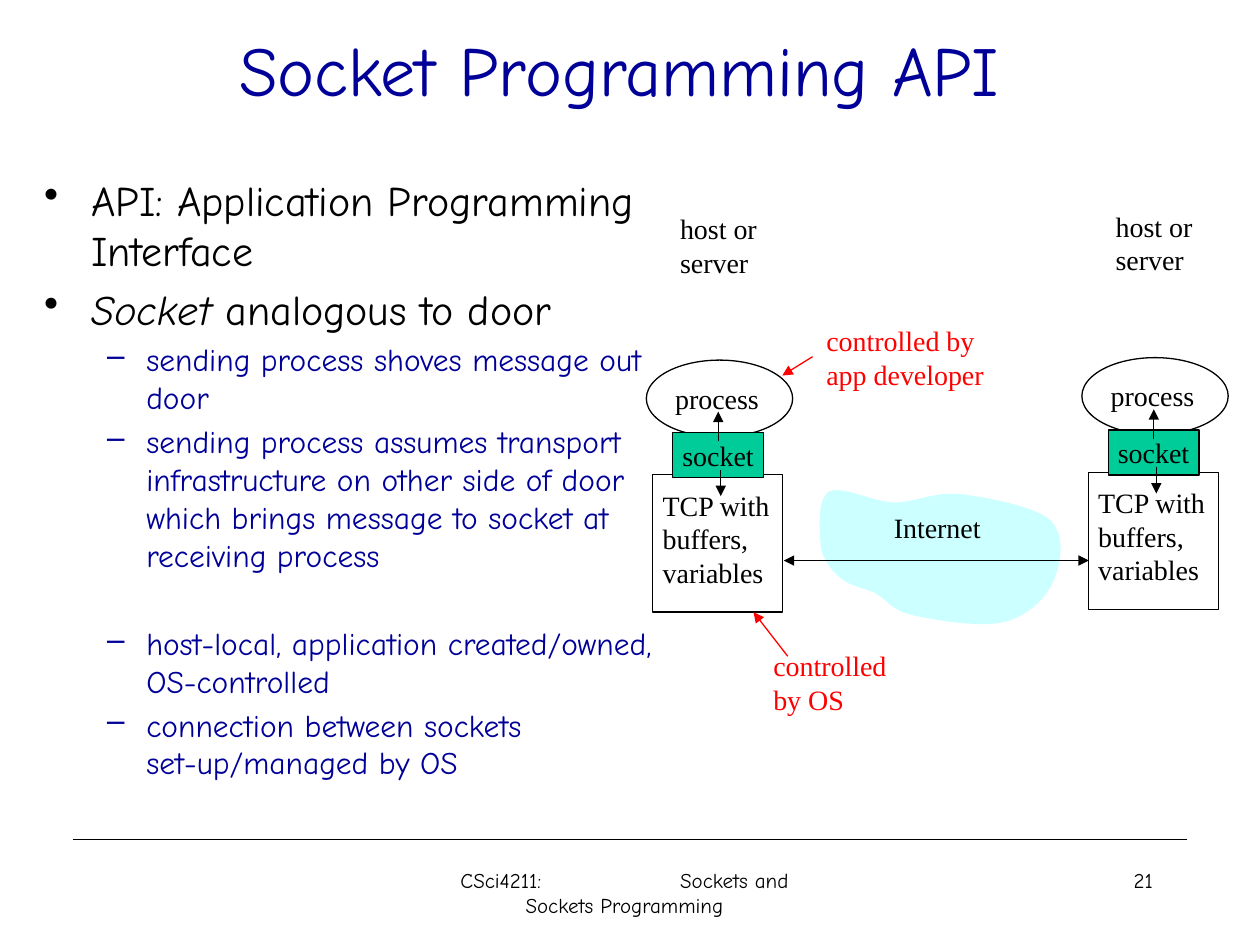
from lxml.etree import SubElement
from pptx import Presentation
from pptx.dml.color import RGBColor
from pptx.enum.shapes import MSO_CONNECTOR, MSO_SHAPE
from pptx.enum.text import MSO_ANCHOR, PP_ALIGN
from pptx.oxml.ns import qn
from pptx.util import Cm, Pt

BLACK = RGBColor(0x00, 0x00, 0x00)
NAVY = RGBColor(0x00, 0x00, 0x99)
RED = RGBColor(0xFF, 0x00, 0x00)
GREEN = RGBColor(0x00, 0xCC, 0x99)
PALE_CYAN = RGBColor(0xCC, 0xFF, 0xFF)

CLOUD_START = (16.54, 10.92)
CLOUD_CURVES = [
    ((16.51, 10.62), (16.48, 10.06), (16.71, 9.91)),
    ((16.97, 9.78), (17.58, 10.11), (18.01, 10.13)),
    ((18.47, 10.13), (18.8, 9.91), (19.33, 9.96)),
    ((19.84, 10.01), (20.88, 10.21), (21.18, 10.49)),
    ((21.49, 10.8), (21.39, 11.42), (21.21, 11.76)),
    ((21.06, 12.09), (20.68, 12.45), (20.19, 12.55)),
    ((19.74, 12.65), (18.82, 12.5), (18.39, 12.4)),
    ((17.96, 12.29), (17.91, 12.12), (17.65, 11.96)),
    ((17.4, 11.84), (17.09, 11.81), (16.92, 11.63)),
    ((16.71, 11.46), (16.54, 11.2), (16.54, 10.92)),
]

BULLETS = [
    (0, 0, [("API: Application Programming Interface", False)]),
    (0, 4.8, [("Socket ", True), ("analogous to door", False)]),
    (1, 3.6, [("sending process shoves message out door", False)]),
    (1, 3.6, [("sending process assumes transport infrastructure on other side "
               "of door which brings message to socket at receiving process", False)]),
    (1, 28.8, [("host-local, application created/owned, OS-controlled", False)]),
    (1, 3.6, [("connection between sockets set-up/managed by OS", False)]),
]
BULLET_LEVELS = [("•", 0.95, -0.95, 24, BLACK), ("–", 2.06, -0.79, 18, NAVY)]


def curve_points(start, curves, steps=12):
    points = []
    for first, second, end in curves:
        for step in range(1, steps + 1):
            t = step / steps
            weights = ((1 - t) ** 3, 3 * t * (1 - t) ** 2, 3 * t * t * (1 - t), t ** 3)
            corners = (start, first, second, end)
            points.append(tuple(sum(w * c[axis] for w, c in zip(weights, corners))
                                for axis in (0, 1)))
        start = end
    return points


class SlideBuilder:
    heading_font = "Comic Neue"
    label_font = "Times New Roman"
    label_size = 16
    line_width = Pt(0.75)

    def __init__(self, page):
        self.page = page

    def add_span(self, para, text, font, size, color, italic=False):
        span = para.add_run()
        span.text = text
        span.font.name = font
        span.font.size = Pt(size)
        span.font.color.rgb = color
        span.font.italic = italic

    def frame(self, area, wrap=True, anchor=MSO_ANCHOR.TOP):
        box = self.page.shapes.add_textbox(*map(Cm, area))
        box.text_frame.word_wrap = wrap
        box.text_frame.vertical_anchor = anchor
        return box.text_frame

    def heading(self, area, text, size, color, align, anchor=MSO_ANCHOR.TOP, tab=None):
        para = self.frame(area, anchor=anchor).paragraphs[0]
        para.alignment = align
        if tab:
            tabs = SubElement(para._p.get_or_add_pPr(), qn("a:tabLst"))
            SubElement(tabs, qn("a:tab"), pos=str(Cm(tab)), algn="l")
        self.add_span(para, text, self.heading_font, size, color)

    def bullets(self, area, items):
        frame = self.frame(area)
        for index, (level, before, spans) in enumerate(items):
            para = frame.add_paragraph() if index else frame.paragraphs[0]
            mark, margin, indent, size, color = BULLET_LEVELS[level]
            para.level = level
            properties = para._p.get_or_add_pPr()
            properties.set("marL", str(Cm(margin)))
            properties.set("indent", str(Cm(indent)))
            SubElement(properties, qn("a:buChar"), char=mark)
            para.space_before = Pt(before)
            for text, italic in spans:
                self.add_span(para, text, self.heading_font, size, color, italic)

    def label(self, area, lines, color=BLACK, align=PP_ALIGN.LEFT):
        frame = self.frame(area, wrap=False)
        for index, text in enumerate(lines):
            para = frame.add_paragraph() if index else frame.paragraphs[0]
            para.alignment = align
            self.add_span(para, text, self.label_font, self.label_size, color)

    def outline(self, kind, area, fill=None, text=None):
        shape = self.page.shapes.add_shape(kind, *map(Cm, area))
        shape.shadow.inherit = False
        shape.line.color.rgb = BLACK
        shape.line.width = self.line_width
        if fill is None:
            shape.fill.background()
        else:
            shape.fill.solid()
            shape.fill.fore_color.rgb = fill
        if text:
            shape.text_frame.word_wrap = False
            shape.text_frame.vertical_anchor = MSO_ANCHOR.MIDDLE
            para = shape.text_frame.paragraphs[0]
            para.alignment = PP_ALIGN.CENTER
            self.add_span(para, text, self.label_font, self.label_size, BLACK)

    def line(self, start, end, color=BLACK, ends=()):
        line = self.page.shapes.add_connector(
            MSO_CONNECTOR.STRAIGHT, *map(Cm, (*start, *end)))
        line.line.color.rgb = color
        line.line.width = self.line_width
        for end_name in ends:
            SubElement(line.line._get_or_add_ln(), qn(f"a:{end_name}"), type="triangle")
        SubElement(line._element.spPr, qn("a:effectLst"))

    def cloud(self, start, curves, fill):
        builder = self.page.shapes.build_freeform(Cm(start[0]), Cm(start[1]))
        builder.add_line_segments(
            [(Cm(x), Cm(y)) for x, y in curve_points(start, curves)], close=True)
        shape = builder.convert_to_shape()
        shape.shadow.inherit = False
        shape.fill.solid()
        shape.fill.fore_color.rgb = fill
        shape.line.fill.background()

    def host(self, left, top):
        def place(x, y, *size):
            return (left + x, top + y, *size)

        self.outline(MSO_SHAPE.OVAL, place(0, 0, 2.95, 1.55))
        self.label(place(0.33, 0.3, 2.21, 0.94), ["process"])
        self.outline(MSO_SHAPE.RECTANGLE, place(0.13, 2.31, 2.62, 2.77))
        self.label(place(0.08, 2.46, 2.69, 2.29), ["TCP with", "buffers,", "variables"])
        self.outline(MSO_SHAPE.RECTANGLE, place(0.53, 1.46, 1.83, 0.91), GREEN, "socket")
        self.line(place(1.45, 1.63), place(1.45, 1.04), ends=["tailEnd"])
        self.line(place(1.5, 2.21), place(1.5, 2.74), ends=["tailEnd"])
        self.label(place(0.43, -3.12, 2.06, 1.63), ["host or", "server"])


def main():
    deck = Presentation()
    deck.slide_width, deck.slide_height = Cm(25.4), Cm(19.05)
    slide = SlideBuilder(deck.slides.add_slide(deck.slide_layouts[6]))

    slide.line((1.47, 16.93), (23.93, 16.93))
    slide.heading((8.46, 17.36, 8.26, 1.27), "CSci4211:\tSockets and Sockets Programming",
                  12, BLACK, PP_ALIGN.CENTER, tab=4.43)
    slide.heading((18.2, 17.36, 5.29, 1.27), "21", 12, BLACK, PP_ALIGN.RIGHT)
    slide.heading((1.69, 0.64, 21.59, 1.48), "Socket Programming API",
                  40, NAVY, PP_ALIGN.CENTER, MSO_ANCHOR.MIDDLE)
    slide.bullets((0.64, 3.39, 12.91, 12.91), BULLETS)

    slide.cloud(CLOUD_START, CLOUD_CURVES, PALE_CYAN)
    slide.host(13.03, 7.26)
    slide.host(21.81, 7.21)
    slide.label((17.75, 10.16, 2.29, 0.94), ["Internet"], align=PP_ALIGN.CENTER)
    slide.line((15.8, 11.3), (21.95, 11.3), ends=["headEnd", "tailEnd"])
    slide.label((15.34, 12.95, 2.82, 2.29), ["controlled", "by OS"], RED)
    slide.line((15.88, 13.23), (15.19, 12.34), RED, ["tailEnd"])
    slide.label((16.41, 6.4, 3.71, 1.63), ["controlled by", "app developer"], RED)
    slide.line((16.38, 7.19), (15.77, 7.57), RED, ["tailEnd"])
    deck.save("out.pptx")


if __name__ == "__main__":
    main()
